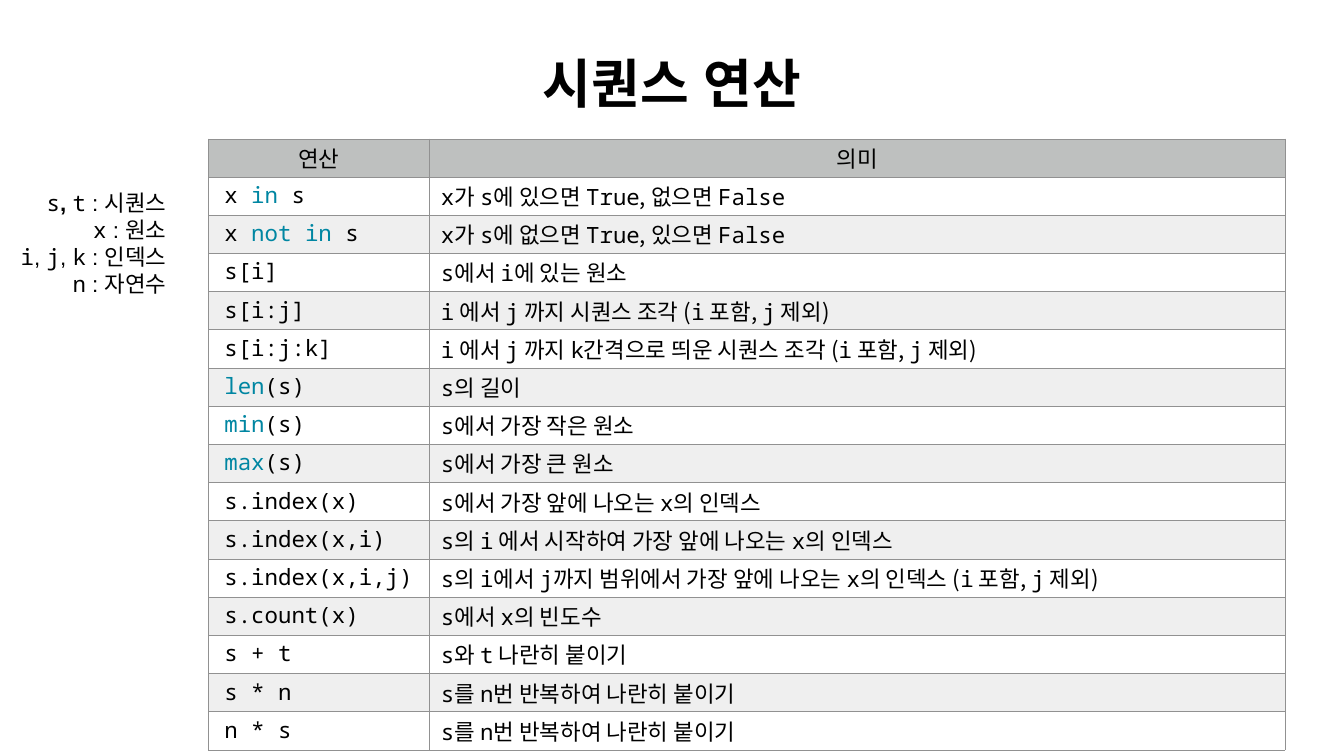
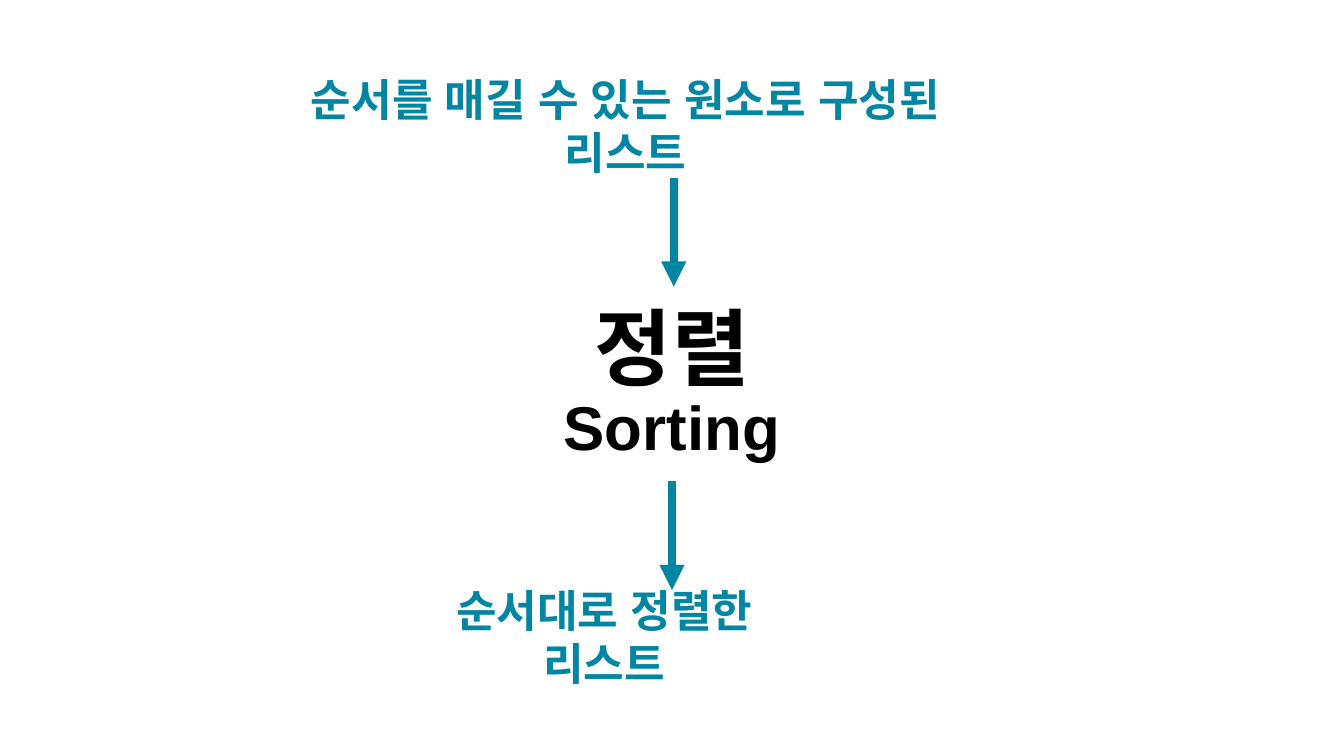
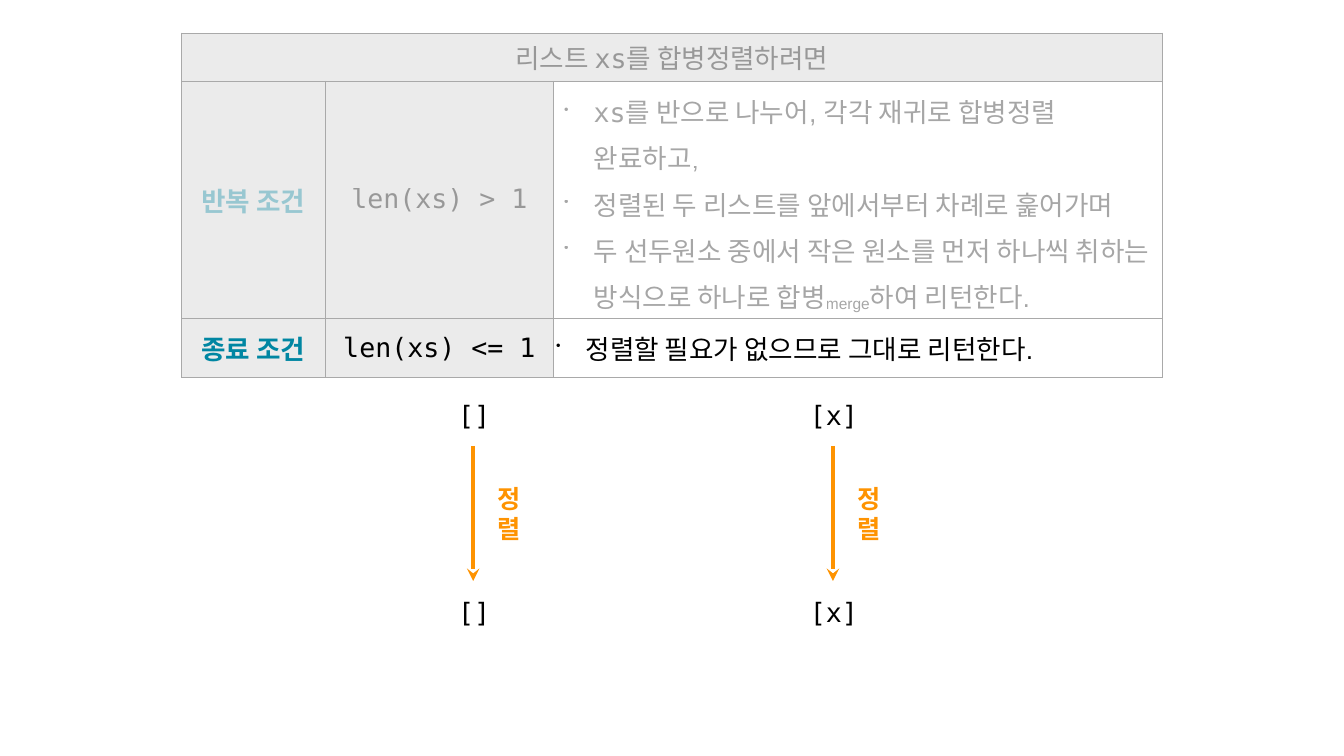
from dataclasses import dataclass

from lxml import etree
from pptx import Presentation
from pptx.dml.color import RGBColor
from pptx.enum import shapes, text
from pptx.oxml import ns
from pptx.util import Pt


@dataclass(frozen=True)
class Theme:
    ink: str = "000000"
    accent: str = "0086A2"
    orange: str = "FE9301"
    paper: str = "FFFFFF"
    header: str = "BEC0BF"
    band: str = "EFEFEF"
    panel: str = "EBEBEB"
    grid: str = "919191"
    soft_grid: str = "A9A9A9"
    sans: str = "Arial"
    korean: str = "Noto Sans CJK KR"
    mono: str = "Noto Sans Mono"
    code: str = "DejaVu Sans Mono"
    title: float = 75.6
    topic: float = 120
    subtitle: float = 88.3
    label: float = 63
    body: float = 32
    rule: float = 38
    step: float = 36


THEME = Theme()
CENTER = text.PP_ALIGN.CENTER
MIDDLE = text.MSO_ANCHOR.MIDDLE
TOP = text.MSO_ANCHOR.TOP
BOTTOM = text.MSO_ANCHOR.BOTTOM
SIDES = ("margin_left", "margin_top", "margin_right", "margin_bottom")

OPERATIONS = [
    ("x `in` s", "`x`가 `s`에 있으면 `True`, 없으면 `False`"),
    ("x `not in` s", "`x`가 `s`에 없으면 `True`, 있으면 `False`"),
    ("s[i]", "`s에서 i`에 있는 원소"),
    ("s[i:j]", "`i` 에서 `j` 까지 시퀀스 조각 (`i` 포함, `j` 제외)"),
    ("s[i:j:k]", "`i` 에서 `j` 까지 `k`간격으로 띄운 시퀀스 조각 (`i` 포함, `j` 제외)"),
    ("`len`(s)", "`s`의 길이"),
    ("`min`(s)", "`s`에서 가장 작은 원소"),
    ("`max`(s)", "`s`에서 가장 큰 원소"),
    ("s.index(x)", "`s`에서 가장 앞에 나오는 `x`의 인덱스"),
    ("s.index(x,i)", "`s`의 `i` 에서 시작하여 가장 앞에 나오는 `x`의 인덱스"),
    ("s.index(x,i,j)",
     "`s`의 `i에서 j`까지 범위에서 가장 앞에 나오는 `x의` 인덱스 (`i` 포함, `j` 제외)"),
    ("s.count(x)", "`s`에서 `x`의 빈도수"),
    ("s + t", "`s`와 `t` 나란히 붙이기"),
    ("s * n", "`s`를 `n`번 반복하여 나란히 붙이기"),
    ("n * s", "`s`를 `n`번 반복하여 나란히 붙이기"),
]
SYMBOLS = ["`s`, `t` : 시퀀스", "`x` : 원소", "`i`, `j`, `k` : 인덱스", "`n` : 자연수"]
MERGE_STEPS = [
    ("`xs`를 반으로 나누어, 각각 재귀로 합병정렬 완료하고,", {"name": THEME.code}),
    ("정렬된 두 리스트를 앞에서부터 차례로 훑어가며", {}),
    ("두 선두원소 중에서 작은 원소를 먼저 하나씩 취하는 방식으로 하나로 합병`merge`하여 리턴한다.",
     {"baseline": -6000}),
]


def assign(target, values):
    for key, value in values.items():
        setattr(target, key, value)


def add_run(paragraph, words, name, size, color=THEME.ink, bold=False,
            east=THEME.korean, alpha=None, baseline=None):
    run = paragraph.add_run()
    run.text = words
    assign(run.font, {"name": name, "size": Pt(size), "bold": bold})
    run.font.color.rgb = RGBColor.from_string(color)
    properties = run._r.get_or_add_rPr()
    if alpha:
        tint = properties.find(".//" + ns.qn("a:srgbClr"))
        etree.SubElement(tint, ns.qn("a:alpha"), val=str(alpha * 1000))
    if baseline:
        properties.set("baseline", str(baseline))
    etree.SubElement(properties, ns.qn("a:ea"), typeface=east)


def write(paragraph, words, plain, marked=None, **layout):
    assign(paragraph, layout)
    for index, part in enumerate(words.split("`")):
        if part:
            add_run(paragraph, part, **{**plain, **((marked or {}) if index % 2 else {})})


def set_frame(frame, inset, anchor, **extra):
    assign(frame, {**{side: Pt(inset) for side in SIDES}, "vertical_anchor": anchor, **extra})


def paint(shape, color):
    shape.fill.solid()
    shape.fill.fore_color.rgb = RGBColor.from_string(color)


def place(shape, *box):
    assign(shape, dict(zip(("left", "top", "width", "height"), map(Pt, box))))


def heading(shape, words, size, **layout):
    paint(shape, THEME.paper)
    set_frame(shape.text_frame, 4, BOTTOM, word_wrap=True, auto_size=text.MSO_AUTO_SIZE.NONE)
    write(shape.text_frame.paragraphs[0], words,
          {"name": THEME.sans, "east": THEME.sans, "size": size, "bold": True},
          alignment=CENTER, **layout)


def add_title(slide, top, height, words, size):
    place(slide.shapes.title, 737, top, 446.4, height)
    heading(slide.shapes.title, words, size)


def add_label(slide, box, lines, plain, marked=None, align="ctr"):
    frame = slide.shapes.add_textbox(*map(Pt, box)).text_frame
    set_frame(frame, 5.6, MIDDLE, word_wrap=False,
              auto_size=text.MSO_AUTO_SIZE.SHAPE_TO_FIT_TEXT)
    list_style = frame._txBody.find(ns.qn("a:lstStyle"))
    etree.SubElement(list_style, ns.qn("a:lvl1pPr"), algn=align)
    for index, line in enumerate(lines):
        paragraph = frame.add_paragraph() if index else frame.paragraphs[0]
        write(paragraph, line, plain, marked)
    return frame


def add_arrow(slide, x, top, bottom, color, width, head):
    arrow = slide.shapes.add_connector(
        shapes.MSO_CONNECTOR.STRAIGHT, Pt(x), Pt(top), Pt(x), Pt(bottom))
    arrow.line.width = Pt(width)
    arrow.line.color.rgb = RGBColor.from_string(color)
    etree.SubElement(arrow.line._get_or_add_ln(), ns.qn("a:tailEnd"), type=head)
    etree.SubElement(arrow._element.spPr, ns.qn("a:effectLst"))


def add_grid(slide, left, top, widths, heights):
    frame = slide.shapes.add_table(len(heights), len(widths), Pt(left), Pt(top),
                                   Pt(sum(widths)), Pt(sum(heights)))
    grid = frame.table
    assign(grid, {"first_row": False, "horz_banding": False})
    for column, width in zip(grid.columns, widths):
        column.width = Pt(width)
    for row, height in zip(grid.rows, heights):
        row.height = Pt(height)
    return grid


def border(cell, color, **widths):
    properties = cell._tc.get_or_add_tcPr()
    for index, side in enumerate("LRTB"):
        line = etree.Element(ns.qn("a:ln" + side), w=str(Pt(widths.get(side, widths["every"]))))
        fill = etree.SubElement(line, ns.qn("a:solidFill"))
        etree.SubElement(fill, ns.qn("a:srgbClr"), val=color)
        properties.insert(index, line)


def format_cell(cell, fill, anchor, **extra):
    set_frame(cell, 4, anchor, **extra)
    if fill:
        paint(cell, fill)
    else:
        cell.fill.background()


def fill_cell(cell, words, plain, marked=None, **layout):
    write(cell.text_frame.paragraphs[0], words, plain, marked, **layout)


def add_bullet(paragraph, left):
    properties = paragraph._p.get_or_add_pPr()
    properties.set("marL", str(Pt(left)))
    properties.set("indent", str(-Pt(42)))
    etree.SubElement(properties, ns.qn("a:buSzPct"), val="50000")
    etree.SubElement(properties, ns.qn("a:buChar"), char="•")


def sequence_slide(slide):
    korean = {"name": THEME.korean, "size": THEME.body}
    mono = {"name": THEME.mono, "size": THEME.body}
    add_title(slide, 61, 106, "시퀀스 연산", THEME.title)
    grid = add_grid(slide, 297.5, 198, (316, 1222.5), [50.6] * (len(OPERATIONS) + 1))
    for cell, words in zip(grid.rows[0].cells, ("연산", "의미")):
        format_cell(cell, THEME.header, TOP)
        border(cell, THEME.grid, every=0.25, B=0.5)
        fill_cell(cell, words, korean, alignment=CENTER)
    for index, (operation, meaning) in enumerate(OPERATIONS, 1):
        operation_cell, meaning_cell = grid.rows[index].cells
        for cell, indent in ((operation_cell, 23), (meaning_cell, 16.5)):
            format_cell(cell, None if index % 2 else THEME.band, TOP, margin_left=Pt(indent))
            border(cell, THEME.grid, every=0.25, T=0.5 if index == 1 else 0.25)
        fill_cell(operation_cell, operation, mono, {"color": THEME.accent})
        fill_cell(meaning_cell, meaning, korean, mono)
    sans = {"name": THEME.sans, "east": THEME.sans, "size": THEME.body}
    symbols = add_label(slide, (24, 253.5, 224, 187), SYMBOLS, sans, mono, "r")
    symbols.paragraphs[0].runs[1].font.bold = True


def sorting_slide(slide):
    add_title(slide, 414, 155.5, "정렬", THEME.topic)
    subtitle = slide.shapes.add_shape(
        shapes.MSO_SHAPE.RECTANGLE, *map(Pt, (742.5, 552, 435, 114)))
    subtitle.shadow.inherit = False
    subtitle.line.fill.background()
    heading(subtitle, "Sorting", THEME.subtitle, line_spacing=0.9)
    label = {"name": THEME.sans, "east": THEME.sans, "size": THEME.label,
             "color": THEME.accent, "bold": True}
    add_label(slide, (438.5, 134, 1044, 91.5), ["순서를 매길 수 있는 원소로 구성된 리스트"], label)
    add_label(slide, (646, 864, 592.5, 91.5), ["순서대로 정렬한 리스트"], label)
    for x, top in ((962.5, 254), (960, 687.5)):
        add_arrow(slide, x, top, top + 155.5, THEME.accent, 12, "triangle")


def merge_table(slide):
    code = {"name": THEME.code, "size": THEME.rule}
    sans = {"name": THEME.sans, "size": THEME.rule}
    condition = {**sans, "color": THEME.accent, "bold": True}
    faded = {"alpha": 34}
    grid = add_grid(slide, 259, 47, (206, 325.5, 870), (69, 248, 85))
    for row_index, row in enumerate(grid.rows):
        for column_index, cell in enumerate(row.cells):
            plain = row_index and column_index == 2
            format_cell(cell, None if plain else THEME.panel, MIDDLE)
            border(cell, THEME.soft_grid, every=1)
    grid.cell(0, 0).merge(grid.cell(0, 2))
    fill_cell(grid.cell(0, 0), "리스트 `xs`를 합병정렬하려면",
              {**code, **faded, "name": THEME.mono}, {"name": THEME.code}, alignment=CENTER)
    for row, name, test, fade in ((1, "반복 조건", "len(xs) > 1", faded),
                                  (2, "종료 조건", "len(xs) <= 1", {})):
        name_fade = {"alpha": 35} if fade else {}
        fill_cell(grid.cell(row, 0), name, {**condition, **name_fade}, alignment=CENTER)
        fill_cell(grid.cell(row, 1), test, {**code, **fade}, alignment=CENTER)
    steps = grid.cell(1, 2).text_frame
    for index, (step, marked) in enumerate(MERGE_STEPS):
        paragraph = steps.add_paragraph() if index else steps.paragraphs[0]
        add_bullet(paragraph, 53.5)
        write(paragraph, step, {**sans, **faded}, marked, line_spacing=1.2)
    add_bullet(grid.cell(2, 2).text_frame.paragraphs[0], 42)
    fill_cell(grid.cell(2, 2), "정렬할 필요가 없으므로 그대로 리턴한다.", sans)


def base_case(slide, center, width, items):
    code = {"name": THEME.code, "size": THEME.rule}
    step = {"name": THEME.sans, "east": THEME.sans, "size": THEME.step,
            "color": THEME.orange, "bold": True}
    for top in (564.5, 846.5):
        add_label(slide, (center - width / 2, top, width, 56), [items], code, align="l")
    add_arrow(slide, center - 2, 637, 830, THEME.orange, 6, "stealth")
    add_label(slide, (center + 27, 706, 75, 54), ["정렬"], step)


def main():
    deck = Presentation()
    assign(deck, {"slide_width": Pt(1920), "slide_height": Pt(1080)})
    title_only, blank = deck.slide_layouts[5], deck.slide_layouts[6]
    sequence_slide(deck.slides.add_slide(title_only))
    sorting_slide(deck.slides.add_slide(title_only))
    merge_sort = deck.slides.add_slide(blank)
    merge_table(merge_sort)
    base_case(merge_sort, 678, 58, "[]")
    base_case(merge_sort, 1192, 81, "[x]")
    deck.save("out.pptx")


if __name__ == "__main__":
    main()
